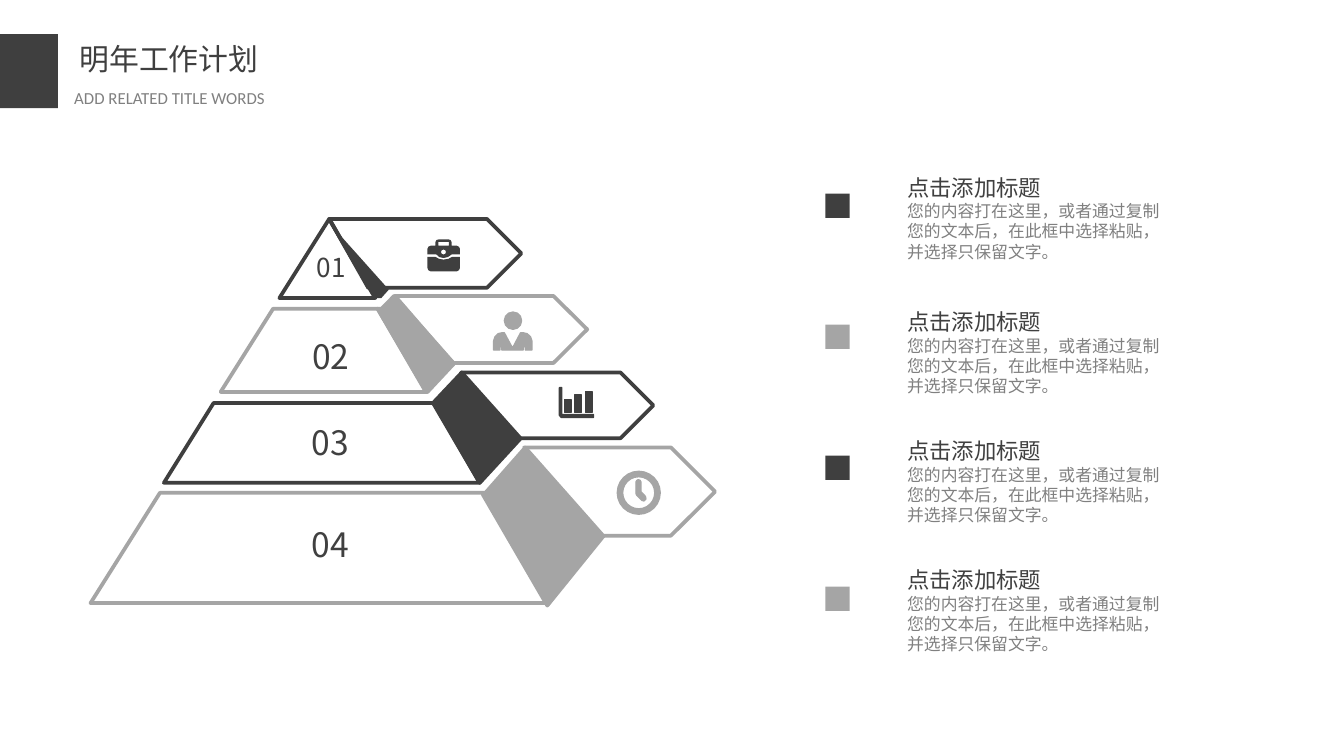
from math import cos, pi, sin
from lxml.etree import SubElement
from pptx import Presentation
from pptx.dml.color import RGBColor
from pptx.enum.shapes import MSO_SHAPE
from pptx.enum.text import MSO_ANCHOR, MSO_AUTO_SIZE, PP_ALIGN
from pptx.oxml.ns import qn
from pptx.util import Pt

COLORS = {"dark": "3F3F3F", "light": "A5A5A5", "text": "404040", "gray": "808080"}
CJK = "Noto Sans CJK SC"


def write(box, text, size=9, color="text", font=CJK, align=PP_ALIGN.LEFT,
          pitch=None, pad=(6, 3), wrap=True):
    """Add one paragraph to a box; pitch is the line height in points."""
    frame = box.text_frame
    frame.auto_size = MSO_AUTO_SIZE.NONE
    frame.word_wrap = wrap
    frame.vertical_anchor = MSO_ANCHOR.TOP
    frame.margin_left = frame.margin_right = Pt(pad[0])
    frame.margin_top = frame.margin_bottom = Pt(pad[1])
    para = frame.paragraphs[0] if not frame.text else frame.add_paragraph()
    para.alignment = align
    if pitch:
        para.line_spacing = Pt(pitch)
    run = para.add_run()
    run.text = text
    run.font.size = Pt(size)
    run.font.name = font
    run.font.color.rgb = RGBColor.from_string(COLORS[color])
    SubElement(run.font._element, qn("a:ea")).set("typeface", font)


def paint(shape, fill=None, line=None, width=0.75):
    shape.shadow.inherit = False
    if fill:
        shape.fill.solid()
        shape.fill.fore_color.rgb = RGBColor.from_string(COLORS[fill])
    else:
        shape.fill.background()
    if line:
        shape.line.color.rgb = RGBColor.from_string(COLORS[line])
        shape.line.width = Pt(width)
    else:
        shape.line.fill.background()


deck = Presentation()
deck.slide_width, deck.slide_height = Pt(720), Pt(405)
slide = deck.slides.add_slide(deck.slide_layouts[5])
shapes = slide.shapes

# Heading
title = shapes.title
title.left, title.top, title.width, title.height = Pt(36.7), Pt(18), Pt(145), Pt(25)
write(title, "明年工作计划", size=16, color="dark", pitch=19.2, pad=(6, 4))
sub = shapes.add_textbox(Pt(33.8), Pt(43.9), Pt(160), Pt(17))
write(sub, "ADD RELATED TITLE WORDS", color="gray", font="Calibri")

# Preset shapes: left, top, width, height, fill, line, line width
RECT, OVAL = MSO_SHAPE.RECTANGLE, MSO_SHAPE.OVAL
presets = [
    (RECT, 0, 18.3, 31, 39.6, "dark", None, 0),
    (MSO_SHAPE.PENTAGON, 247, 199.6, 103, 35.2, None, "dark", 2),
    (OVAL, 270.2, 167.2, 9.2, 9.2, "light", "light", 0.75),
    (MSO_SHAPE.DONUT, 330.7, 252.5, 23, 23, "light", "light", 0.75),
]
for x, high in ((302.3, 6.8), (307.9, 9.4), (313.5, 11.3)):
    presets.append((RECT, x, 221 - high, 3.6, high, "dark", "dark", 0.75))
for row in range(4):
    tone = ("dark", "light")[row % 2]
    presets.append((RECT, 442.2, 103.7 + 70.2 * row, 13, 13, tone, None, 0))
for kind, x, y, w, h, fill, line, width in presets:
    shape = shapes.add_shape(kind, Pt(x), Pt(y), Pt(w), Pt(h))
    paint(shape, fill, line, width)
    if kind == MSO_SHAPE.DONUT:
        shape.adjustments[0] = 0.125

# Outlines: contours, fill, line, line width
flags = [
    ("dark", [(176.4, 117.3), (260.9, 117.3), (279.3, 135.8), (260.9, 154.2), (197.3, 154.2)]),
    ("light", [(211.6, 158.6), (296.5, 158.6), (314.6, 176.5), (296.5, 194.5), (242.6, 194.5)]),
    ("light", [(280.8, 239.7), (359.4, 239.7), (383.1, 263.4), (359.4, 287), (322, 287)]),
]
panels = [
    ("dark", [(176.4, 117.3), (201, 159.7), (149.7, 159.7)]),
    ("light", [(146.3, 165.4), (202.3, 165.4), (228.5, 210), (118.2, 210)]),
    ("dark", [(114.5, 215.9), (232.4, 215.9), (257, 258.7), (87.8, 258.7)]),
    ("light", [(85.7, 264), (259.7, 264), (293, 323.1), (48.5, 323.1)]),
]
folds = [
    ("light", [(211.1, 158.6), (243.2, 194.8), (229, 210), (228.2, 210), (202.3, 165.4), (204.5, 165.4)]),
    ("dark", [(247.4, 199.6), (278.9, 234.9), (257, 258.7), (232, 215.9)]),
    ("light", [(281.4, 239.8), (323.3, 287.2), (293.2, 324.4), (258.7, 265), (259.4, 264.8)]),
]
outlines = [([pts], None, tone, 2) for tone, pts in flags + panels]
outlines += [([pts], tone, tone, 2) for tone, pts in folds]
outlines.append(([[(176.4, 119.5), (208.3, 155.2), (204.3, 159.7), (200.3, 159.7)]], "dark", None, 0))

clasp = [(237.6 + 1.3 * cos(k * pi / 6), 135 + 1.3 * sin(k * pi / 6)) for k in range(12)]
lid = [(229, 136.3), (229, 133.3), (229.5, 132.2), (230.8, 131.6), (233.2, 131.6),
       (233.2, 129.8), (233.8, 128.6), (235.2, 128.2), (240.2, 128.2), (241.4, 128.6),
       (242, 129.8), (242, 131.6), (244.7, 131.6), (245.9, 132.2), (246.4, 133.3),
       (246.4, 136.3), (242, 136.3), (240, 137.7), (237.6, 138.2), (235.3, 137.7), (233.8, 136.3)]
grip = [(234.9, 131.6), (234.9, 129.6), (240.5, 129.6), (240.5, 131.6)]
case = [(229, 137.6), (233.3, 137.6), (235.2, 138.7), (237.6, 139.1), (240.2, 138.7),
        (242.3, 137.6), (246.4, 137.6), (246.4, 143.5), (245.9, 144.8), (244.7, 145.4),
        (230.8, 145.4), (229.5, 144.8), (229, 143.5)]
suit = [(264.4, 187.5), (264.4, 182.9), (265.2, 180.4), (266.9, 178.8), (268.9, 178.3),
        (270.2, 178.3), (274.6, 186.5), (278.9, 178.3), (280.3, 178.3), (282.4, 178.8),
        (284.2, 180.4), (285, 182.9), (285, 187.5), (281.4, 187.5), (281.4, 185.8),
        (280.3, 185.8), (280.3, 187.5), (268.9, 187.5), (268.9, 185.8), (267.8, 185.8), (267.8, 187.5)]
axes = [(299.7, 207.7), (301, 207.7), (301, 222.1), (317.9, 222.1), (317.9, 223.7),
        (300.8, 223.7), (299.7, 222.6)]
hand = [(340.7, 258.3), (341.2, 257.4), (342, 257), (342.9, 257.4), (343.4, 258.3),
        (343.4, 263.6), (345.8, 266), (346, 267.4), (345, 268.4), (343.9, 268.1), (341.1, 265.3), (340.7, 264.4)]
outlines += [([lid, grip, clasp], "dark", None, 0), ([case], "dark", None, 0)]
outlines += [([suit], "light", "light", 0.75), ([axes], "dark", "dark", 0.75),
             ([hand], "light", "light", 0.75)]

for loops, fill, line, width in outlines:
    rings = [[(100 * x, 100 * y) for x, y in ring] for ring in loops]
    pen = shapes.build_freeform(*rings[0][0], scale=Pt(1) / 100)
    for ring in rings:
        if ring is not rings[0]:
            pen.move_to(*ring[0])
        pen.add_line_segments(ring[1:], close=True)
    paint(pen.convert_to_shape(), fill, line, width)

# Tier numbers
for num, x, y, size in (("01", 177.6, 131, 14), ("02", 177.2, 176.4, 18),
                        ("03", 177, 222.5, 18), ("04", 177, 277.2, 18)):
    box = shapes.add_textbox(Pt(x - 40), Pt(y), Pt(80), Pt(29))
    write(box, num, size=size, align=PP_ALIGN.CENTER, pad=(7.2, 3.6))

# Notes beside the pyramid
for y in (89.3, 161.3, 230.4, 299.5):
    box = shapes.add_textbox(Pt(480), Pt(y), Pt(147), Pt(75))
    write(box, "点击添加标题", size=12, pitch=14.4, pad=(6, 4), wrap=False)
    for text in ("您的内容打在这里，或者通过复制", "您的文本后，在此框中选择粘贴，", "并选择只保留文字。"):
        write(box, text, color="gray", pitch=10.8, pad=(6, 4), wrap=False)

deck.save("out.pptx")
